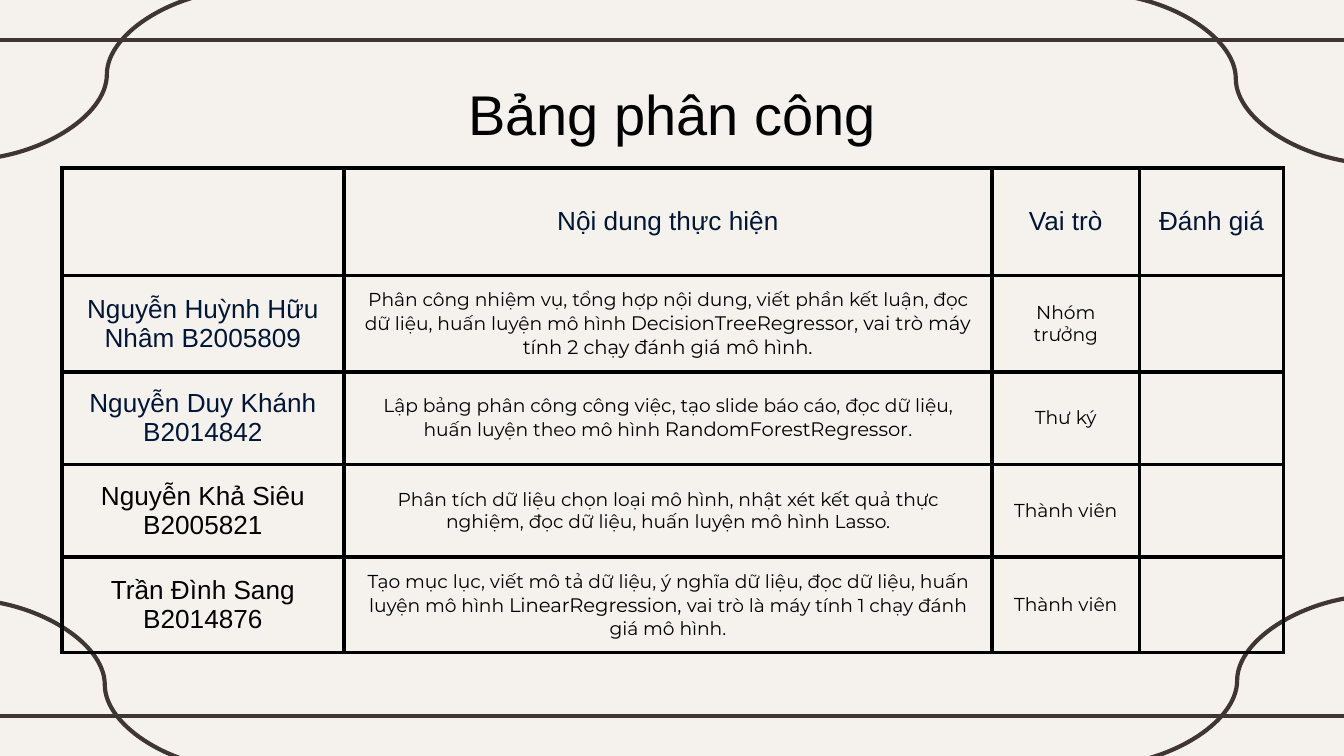
"""Build the slide with the table of tasks for each team member."""
from dataclasses import dataclass

from lxml.etree import SubElement
from pptx import Presentation
from pptx.dml.color import RGBColor
from pptx.enum.shapes import MSO_CONNECTOR as Link
from pptx.enum.text import MSO_ANCHOR as Anchor, PP_ALIGN as Align
from pptx.oxml import parse_xml
from pptx.oxml.ns import nsdecls, qn
from pptx.util import Inches, Pt

PAPER, BROWN, NAVY, BLACK = "F5F2EE", "3F3533", "011635", "000000"
HEAD_FONT, BODY_FONT = "Arial", "Montserrat"
BODY_SIZES = (10, 10.5)
COLS = (2.1, 4.82, 1.1, 1.07)
ROWS = (0.8, 0.69, 0.69, 0.69, 0.69)
HEADS = ("", "Nội dung thực hiện", "Vai trò", "Đánh giá")


@dataclass
class Stroke:
    kind: Link
    start: tuple[float, float]
    end: tuple[float, float]


@dataclass
class Member:
    name: str
    tasks: tuple[str, ...]
    role: str
    tint: str = BLACK


STROKES = (
    Stroke(Link.STRAIGHT, (-0.08, 0.3), (10.08, 0.3)),
    Stroke(Link.STRAIGHT, (-0.08, 5.33), (10.08, 5.33)),
    Stroke(Link.CURVE, (-0.27, 4.46), (1.83, 5.73)),
    Stroke(Link.CURVE, (8.14, -0.05), (10.25, 1.22)),
    Stroke(Link.CURVE, (10.26, 4.43), (8.15, 5.7)),
    Stroke(Link.CURVE, (1.85, -0.08), (-0.26, 1.19)),
)

TEAM = (
    Member(
        "Nguyễn Huỳnh Hữu Nhâm B2005809",
        ("Phân công nhiệm vụ, tổng hợp nội dung, viết phần kết luận, đọc dữ liệu, "
         "huấn luyện mô hình ",
         "DecisionTreeRegressor, vai trò máy tính 2 chạy đánh giá mô hình."),
        "Nhóm trưởng", NAVY),
    Member(
        "Nguyễn Duy Khánh\nB2014842",
        ("Lập bảng phân công công việc, tạo slide báo cáo, đọc dữ liệu, "
         "huấn luyện theo mô hình ",
         "RandomForestRegressor", "."),
        "Thư ký", NAVY),
    Member(
        "Nguyễn Khả Siêu\nB2005821",
        ("Phân tích dữ liệu chọn loại mô hình, nhật xét kết quả thực nghiệm, "
         "đọc dữ liệu, huấn luyện mô hình Lasso.",),
        "Thành viên"),
    Member(
        "Trần Đình Sang\nB2014876",
        ("Tạo mục lục, viết mô tả dữ liệu, ý nghĩa dữ liệu, đọc dữ liệu, "
         "huấn luyện mô hình ",
         "LinearRegression, ", "vai trò là máy tính 1 chạy đánh giá mô hình."),
        "Thành viên"),
)


def paint(code: str) -> RGBColor:
    return RGBColor.from_string(code)


def style(run, font: str, size: float, tint: str) -> None:
    run.font.name, run.font.size = font, Pt(size)
    run.font.color.rgb = paint(tint)


def write(frame, text: str, font: str, size: float, tint: str) -> None:
    frame.text = text
    for line in frame.paragraphs:
        line.alignment = Align.CENTER
        for run in line.runs:
            style(run, font, size, tint)


def write_tasks(frame, parts: tuple[str, ...]) -> None:
    line = frame.paragraphs[0]
    line.alignment = Align.CENTER
    for i, part in enumerate(parts):
        run = line.add_run()
        run.text = part
        style(run, BODY_FONT, BODY_SIZES[i % 2], BLACK)


def draw_stroke(slide, item: Stroke) -> None:
    ends = [Inches(n) for n in item.start + item.end]
    line = slide.shapes.add_connector(item.kind, *ends)
    line.line.color.rgb = paint(BROWN)
    line.line.width = Pt(2.25)
    SubElement(line._element.spPr, qn("a:effectLst"))


def draw_title(slide) -> None:
    box = slide.shapes.add_textbox(Inches(0.78), Inches(0.49), Inches(8.44), Inches(0.63))
    frame = box.text_frame
    frame.word_wrap = True
    frame.vertical_anchor = Anchor.TOP
    frame.margin_top = frame.margin_bottom = Inches(0.1)
    write(frame, "Bảng phân công", HEAD_FONT, 30, BLACK)


def frame_cell(cell) -> None:
    cell.vertical_anchor = Anchor.MIDDLE
    cell.margin_left = cell.margin_right = Inches(0.1)
    cell.margin_top = cell.margin_bottom = Inches(0.1)
    props = cell._tc.get_or_add_tcPr()
    for side in "LRTB":
        props.append(parse_xml(
            f'<a:ln{side} {nsdecls("a")} w="{Pt(2.25)}"><a:solidFill>'
            f'<a:srgbClr val="{BLACK}"/></a:solidFill></a:ln{side}>'))
    cell.fill.background()


def draw_table(slide) -> None:
    table = slide.shapes.add_table(
        len(ROWS), len(COLS), Inches(0.46), Inches(1.25),
        Inches(sum(COLS)), Inches(sum(ROWS))).table
    table.first_row = table.horz_banding = False
    for col, width in zip(table.columns, COLS):
        col.width = Inches(width)
    for row, height in zip(table.rows, ROWS):
        row.height = Inches(height)
    for cell in table.iter_cells():
        frame_cell(cell)
    for i, head in enumerate(HEADS):
        write(table.cell(0, i).text_frame, head, HEAD_FONT, 14, NAVY)
    for i, member in enumerate(TEAM, 1):
        name, tasks, role = (table.cell(i, k).text_frame for k in range(3))
        write(name, member.name, HEAD_FONT, 14, member.tint)
        write_tasks(tasks, member.tasks)
        write(role, member.role, BODY_FONT, 10, BLACK)


def main() -> None:
    deck = Presentation()
    deck.slide_width, deck.slide_height = Inches(10), Inches(10 * 9 / 16)
    slide = deck.slides.add_slide(deck.slide_layouts[6])
    slide.background.fill.solid()
    slide.background.fill.fore_color.rgb = paint(PAPER)
    for item in STROKES:
        draw_stroke(slide, item)
    draw_title(slide)
    draw_table(slide)
    deck.save("out.pptx")


if __name__ == "__main__":
    main()
